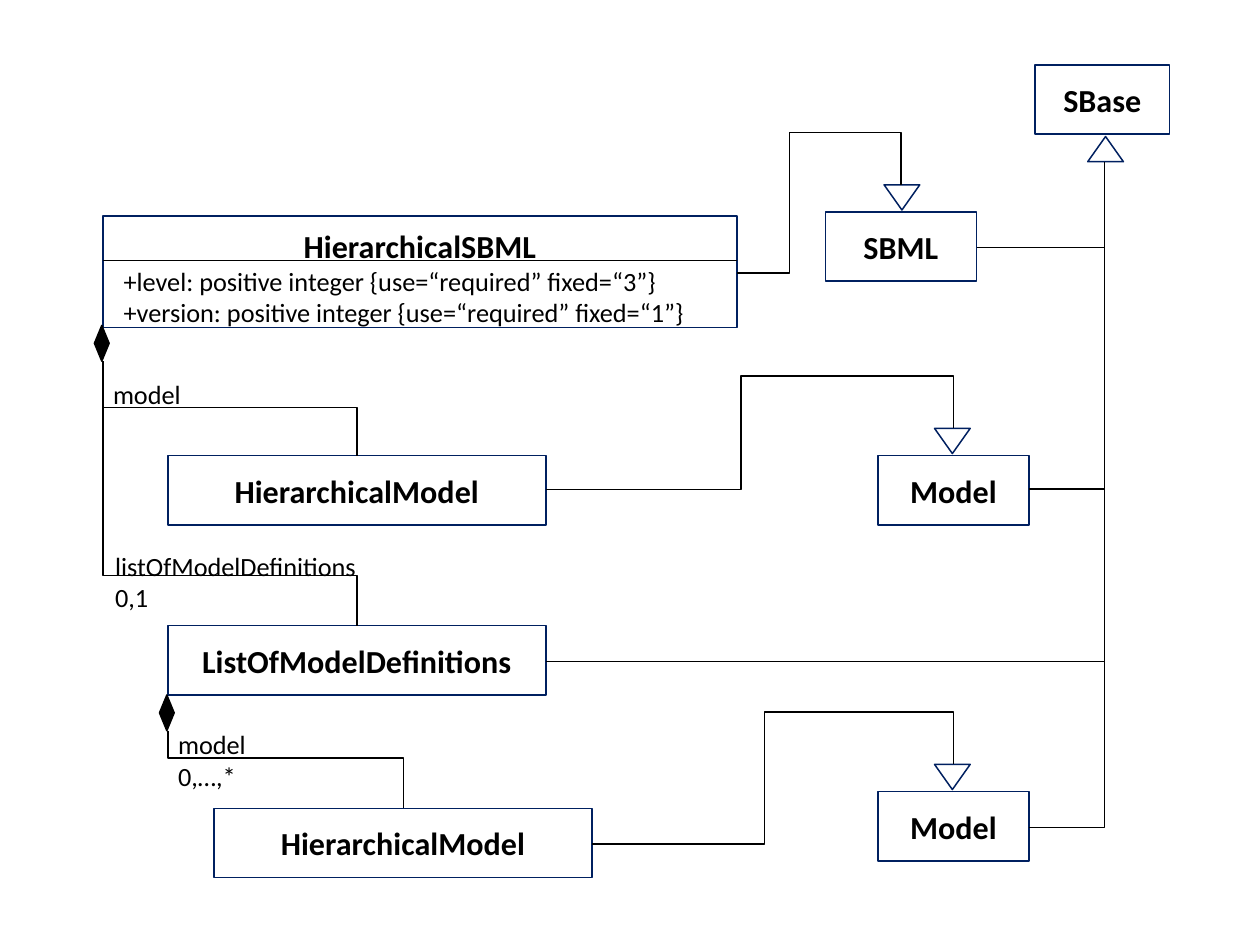
import lxml.etree
import pptx
import pptx.dml.color
import pptx.enum.shapes
import pptx.enum.text
import pptx.oxml.ns
import pptx.util

# Grid: 600 columns by 450 rows
COLUMNS, ROWS = 600, 450
CELL = pptx.util.Inches(0.01)
NAVY, BLACK = "002060", "000000"
KIND = pptx.enum.shapes.MSO_SHAPE
LINK = pptx.enum.shapes.MSO_CONNECTOR
ALIGN = pptx.enum.text.PP_ALIGN
ANCHOR = pptx.enum.text.MSO_ANCHOR
color = pptx.dml.color.RGBColor.from_string
qn = pptx.oxml.ns.qn

deck = pptx.Presentation()
deck.slide_width, deck.slide_height = COLUMNS * CELL, ROWS * CELL
page = deck.slides.add_slide(deck.slide_layouts[6])


def write(frame, text, size=9, bold=False, align=ALIGN.LEFT, first=True):
    """Write each line of text as a paragraph of the frame."""
    for line in text.split("\n"):
        para = frame.paragraphs[0] if first else frame.add_paragraph()
        first = False
        para.alignment = align
        span = para.add_run()
        span.text = line
        span.font.name = "Calibri"
        span.font.size = pptx.util.Pt(size)
        span.font.bold = bold
        span.font.color.rgb = color(BLACK)


def add_outline(kind, left, top, width, height, line=NAVY, fill=None):
    """Add a thinly outlined shape, placed in grid cells."""
    shape = page.shapes.add_shape(
        kind, left * CELL, top * CELL, width * CELL, height * CELL)
    shape.shadow.inherit = False
    shape.line.color.rgb = color(line)
    shape.line.width = pptx.util.Pt(0.5)
    if fill:
        shape.fill.solid()
        shape.fill.fore_color.rgb = color(fill)
    else:
        shape.fill.background()
    return shape


# Class boxes
parts = {}
for name, text, left, top, width in [
    ("sbase", "SBase", 493, 31, 64),
    ("sbml", "SBML", 393, 101, 72),
    ("model", "Model", 418, 217, 72),
    ("item model", "Model", 418, 377, 72),
    ("hierarchical model", "HierarchicalModel", 80, 217, 180),
    ("list", "ListOfModelDefinitions", 80, 298, 180),
    ("item", "HierarchicalModel", 102, 385, 180),
]:
    parts[name] = add_outline(KIND.RECTANGLE, left, top, width, 33)
    frame = parts[name].text_frame
    frame.vertical_anchor = ANCHOR.MIDDLE
    write(frame, text, size=11, bold=True, align=ALIGN.CENTER)

# Root class with its attributes
parts["root"] = add_outline(KIND.RECTANGLE, 49, 103, 302, 53)
frame = parts["root"].text_frame
frame.vertical_anchor = ANCHOR.TOP
write(frame, "HierarchicalSBML", size=11, bold=True, align=ALIGN.CENTER)
write(frame, "+level: positive integer {use=“required” fixed=“3”}\n"
             "+version: positive integer {use=“required” fixed=“1”}", first=False)

# Inheritance triangles and composition diamonds
for name, left, top, turn in [
    ("to sbase", 518, 65, 0),
    ("to sbml", 421, 88, 180),
    ("to model", 445, 204, 180),
    ("to item model", 445, 364, 180),
]:
    parts[name] = add_outline(KIND.ISOSCELES_TRIANGLE, left, top, 17, 12)
    parts[name].rotation = turn
for name, left, top in [("root end", 45, 155), ("list end", 76, 331)]:
    parts[name] = add_outline(KIND.DIAMOND, left, top, 7, 17, line=BLACK, fill=BLACK)

# Links: start part, end part, start point, end point, bends (x or y of each turn)
TOP, BOTTOM, RIGHT, BASE = 0, 2, 3, 3
links = [(start, "to sbase", x, y, 526, 77, ())
         for start, x, y in [("sbml", 465, 118), ("model", 490, 233),
                             ("list", 260, 315), ("item model", 490, 394)]]
links += [
    ("root", "to sbml", 351, 130, 429, 88, (376, 63)),
    ("hierarchical model", "to model", 260, 233, 454, 204, (353, 179)),
    ("item", "to item model", 282, 402, 454, 364, (364, 339)),
    ("root end", "hierarchical model", 49, 172, 170, 217, (194,)),
    ("root end", "list", 49, 172, 170, 298, (274,)),
    ("list end", "item", 80, 348, 192, 385, (361,)),
]
wires = []
for start, end, x1, y1, x2, y2, bends in links:
    wire = page.shapes.add_connector(
        LINK.ELBOW, x1 * CELL, y1 * CELL, x2 * CELL, y2 * CELL)
    downward = len(bends) == 1
    wire.begin_connect(parts[start], BOTTOM if downward else RIGHT)
    wire.end_connect(parts[end], TOP if downward else BASE)
    wide, high = abs(x2 - x1), abs(y2 - y1)
    wire.left, wire.top = x1 * CELL, min(y1, y2) * CELL
    wire.width, wire.height = wide * CELL, high * CELL
    frame_xml = wire._element.spPr.find(qn("a:xfrm"))
    frame_xml.attrib.clear()
    if downward:
        # A quarter turn swaps the sides about the same centre
        wire.left = int((x1 + x2 - high) / 2 * CELL)
        wire.top = int((y1 + y2 - wide) / 2 * CELL)
        wire.width, wire.height = high * CELL, wide * CELL
        wire.rotation = 270
        frame_xml.set("flipH", "1")
        shares = [(bends[0] - y1) / high]
    else:
        frame_xml.set("flipV", "1")
        shares = [abs(bend - origin) / size
                  for bend, origin, size in zip(bends, (x1, y1), (wide, high))]
    geometry = wire._element.spPr.find(qn("a:prstGeom"))
    geometry.set("prst", f"bentConnector{len(bends) + 2}")
    guides = geometry.find(qn("a:avLst"))
    for number, share in enumerate(shares, 1):
        lxml.etree.SubElement(guides, qn("a:gd"), name=f"adj{number}",
                              fmla=f"val {round(share * 100000)}")
    wires.append(wire)

# Rule under the root class name
wires.append(page.shapes.add_connector(
    LINK.STRAIGHT, 49 * CELL, 124 * CELL, 351 * CELL, 124 * CELL))
for wire in wires:
    wire.line.color.rgb = color(BLACK)
    wire.line.width = pptx.util.Pt(0.5)
    lxml.etree.SubElement(wire._element.spPr, qn("a:effectLst"))

# Role labels
for text, left, top, width, height in [
    ("model", 44, 175, 53, 25),
    ("listOfModelDefinitions\n0,1", 45, 257, 137, 40),
    ("model\n0,…,*", 75, 342, 53, 40),
]:
    box = page.shapes.add_textbox(left * CELL, top * CELL, width * CELL, height * CELL)
    box.text_frame.word_wrap = False
    box.text_frame.auto_size = pptx.enum.text.MSO_AUTO_SIZE.SHAPE_TO_FIT_TEXT
    write(box.text_frame, text)

deck.save("out.pptx")
